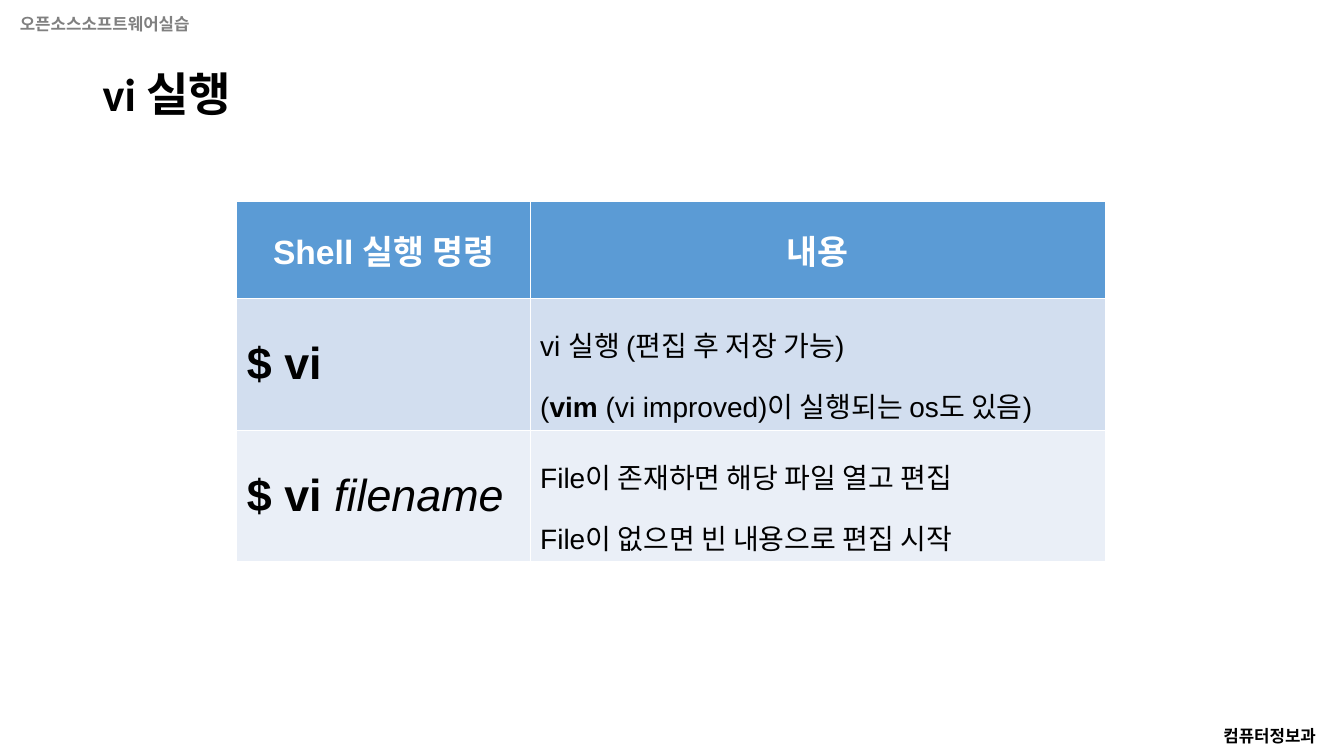
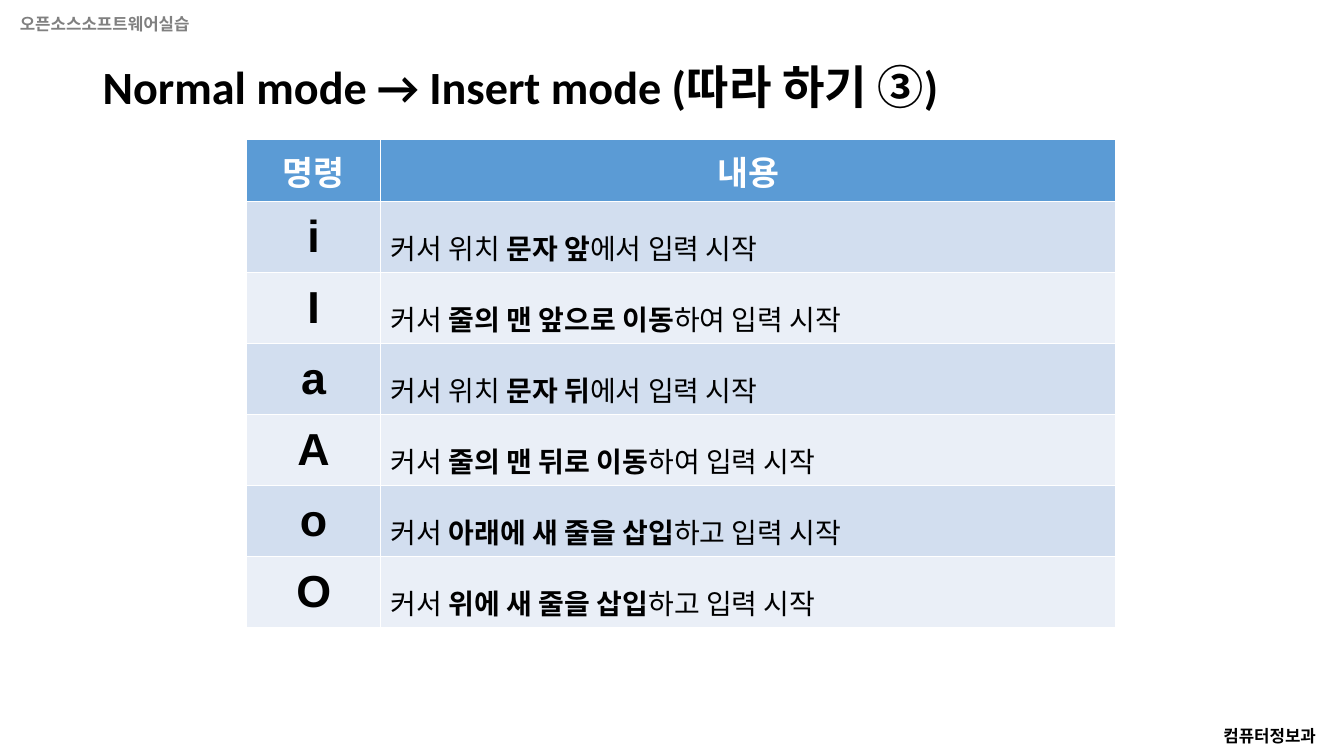
"""Two lecture slides on starting vi and entering its insert mode."""
from pptx import Presentation
from pptx.dml.color import RGBColor
from pptx.enum import text
from pptx.util import Cm, Pt

BLACK = RGBColor(0x00, 0x00, 0x00)
WHITE = RGBColor(0xFF, 0xFF, 0xFF)
GRAY = RGBColor(0x80, 0x80, 0x80)
HEADER_BLUE = RGBColor(0x5B, 0x9B, 0xD5)
BANDS = (RGBColor(0xD2, 0xDE, 0xEF), RGBColor(0xEA, 0xEF, 0xF7))
LEFT, CENTER = text.PP_ALIGN.LEFT, text.PP_ALIGN.CENTER


def write(frame, content, size, font, color=BLACK, bold=True, align=LEFT, spacing=1.0):
    """Fill a frame; text between bars takes the opposite weight."""
    for index, line in enumerate(content.split("\n")):
        paragraph = frame.paragraphs[0] if index == 0 else frame.add_paragraph()
        paragraph.alignment = align
        paragraph.line_spacing = spacing
        paragraph.font.size = Pt(size)
        paragraph.font.name = font
        paragraph.font.color.rgb = color
        for position, part in enumerate(line.split("|")):
            if part:
                marked = position % 2 == 1
                run = paragraph.add_run()
                run.text = part
                run.font.bold = bold != marked
                run.font.italic = bold and marked


def add_label(slide, box, content, size, color=BLACK, spacing=1.0, wrap=False):
    frame = slide.shapes.add_textbox(*map(Cm, box)).text_frame
    frame.word_wrap = wrap
    frame.vertical_anchor = text.MSO_ANCHOR.MIDDLE
    write(frame, content, size, "Calibri", color, spacing=spacing)


lessons = [
    {
        "title": "vi 실행",
        "title_box": (2.34, 1.42, 29.21, 2.03),
        "table_at": (5.97, 5.08),
        "columns": (7.39, 14.5),
        "header_height": 2.44,
        "row_height": 3.32,
        "command_align": LEFT,
        "rows": [
            ("Shell 실행 명령", "내용"),
            ("$ vi", "vi 실행 (편집 후 저장 가능)\n(|vim| (vi improved)이 실행되는 os도 있음)"),
            ("$ vi |filename|", "File이 존재하면 해당 파일 열고 편집\nFile이 없으면 빈 내용으로 편집 시작"),
        ],
    },
    {
        "title": "Normal mode → Insert mode (따라 하기 ③)",
        "title_box": (2.34, 1.02, 29.21, 2.49),
        "table_at": (6.22, 3.51),
        "columns": (3.37, 18.53),
        "header_height": 1.57,
        "row_height": 1.79,
        "command_align": CENTER,
        "rows": [
            ("명령", "내용"),
            ("i", "커서 위치 |문자 앞|에서 입력 시작"),
            ("I", "커서 |줄의 맨 앞으로 이동|하여 입력 시작"),
            ("a", "커서 위치 |문자 뒤|에서 입력 시작"),
            ("A", "커서 |줄의 맨 뒤로 이동|하여 입력 시작"),
            ("o", "커서 |아래에 새 줄을 삽입|하고 입력 시작"),
            ("O", "커서 |위에 새 줄을 삽입|하고 입력 시작"),
        ],
    },
]

presentation = Presentation()
presentation.slide_width = Cm(33.87)
presentation.slide_height = Cm(19.05)

for lesson in lessons:
    slide = presentation.slides.add_slide(presentation.slide_layouts[6])
    add_label(slide, (30.58, 18.16, 3.07, 0.76), "컴퓨터정보과", 12)
    add_label(slide, (0.25, 0.23, 5.21, 0.76), "오픈소스소프트웨어실습", 12, GRAY)
    add_label(slide, lesson["title_box"], lesson["title"], 33, spacing=0.9, wrap=True)

    rows, columns = lesson["rows"], lesson["columns"]
    heights = [lesson["header_height"]] + [lesson["row_height"]] * (len(rows) - 1)
    table = slide.shapes.add_table(
        len(rows), len(columns), *map(Cm, lesson["table_at"]),
        Cm(sum(columns)), Cm(sum(heights))).table
    for column, width in zip(table.columns, columns):
        column.width = Cm(width)

    for row_index, (contents, height) in enumerate(zip(rows, heights)):
        table.rows[row_index].height = Cm(height)
        for column_index, content in enumerate(contents):
            cell = table.cell(row_index, column_index)
            cell.vertical_anchor = text.MSO_ANCHOR.MIDDLE
            cell.fill.solid()
            if row_index == 0:
                cell.fill.fore_color.rgb = HEADER_BLUE
                write(cell.text_frame, content, 24, "Arial", WHITE, align=CENTER)
                continue
            cell.fill.fore_color.rgb = BANDS[(row_index - 1) % 2]
            if column_index == 0:
                write(cell.text_frame, content, 32, "Arial", align=lesson["command_align"])
            else:
                write(cell.text_frame, content, 20, "Arial", bold=False, spacing=1.5)

presentation.save("out.pptx")
